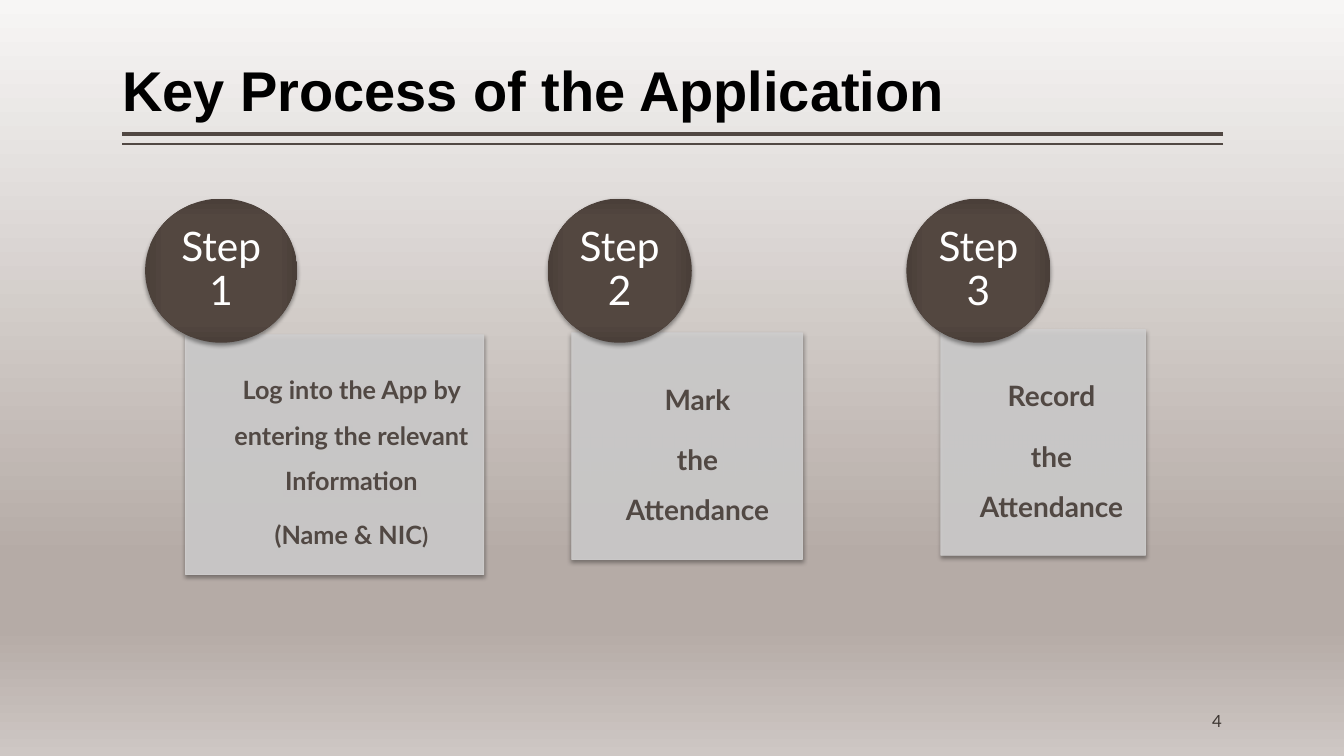
"""Build the slide that shows the three key steps of an attendance application."""
from dataclasses import dataclass

from lxml import etree
from pptx import Presentation
from pptx.dml.color import RGBColor
from pptx.enum.shapes import MSO_CONNECTOR, MSO_SHAPE
from pptx.enum.text import MSO_ANCHOR, MSO_AUTO_SIZE, PP_ALIGN
from pptx.oxml import parse_xml
from pptx.oxml.ns import nsdecls, qn
from pptx.util import Inches, Pt

STRAIGHT = MSO_CONNECTOR.STRAIGHT
RECTANGLE, OVAL = MSO_SHAPE.RECTANGLE, MSO_SHAPE.OVAL
MIDDLE, BOTTOM = MSO_ANCHOR.MIDDLE, MSO_ANCHOR.BOTTOM
LEFT, CENTER, RIGHT = PP_ALIGN.LEFT, PP_ALIGN.CENTER, PP_ALIGN.RIGHT
NO_AUTOFIT = MSO_AUTO_SIZE.NONE

SLIDE_WIDTH, SLIDE_HEIGHT = Inches(13.33), Inches(7.5)
MARGIN, CONTENT_WIDTH = 9.08, 81.92
BADGE_TOP, BADGE_HEIGHT = 26.27, 19.07
CARD_TEXT_INDENT = 0.16
PARAGRAPH_GAP = 0.35


@dataclass(frozen=True)
class Theme:
    """Colours, fonts and type sizes of the slide."""
    ink: str = "514843"
    title_ink: str = "000000"
    badge_ink: str = "FFFFFF"
    number_ink: str = "3D3632"
    card: str = "D0CFCF"
    backdrop: tuple = ((0, "F7F6F5"), (74, "B5ABA6"), (83, "B5ABA6"), (100, "CEC7C4"))
    badge: tuple = ((0, "544740"), (71, "534740"), (100, "4A3F39"))
    title_font: str = "Arial"
    body_font: str = "Lato"
    title_size: int = 40
    badge_size: int = 29
    closing_size: int = 16
    number_size: int = 12


@dataclass(frozen=True)
class Step:
    """One step, with its places in percent of the slide's size."""
    label: str
    lines: tuple
    size: int
    padding: float
    card: tuple
    badge_left: float
    badge_width: float
    closing: str = ""


THEME = Theme()
STEPS = (
    Step("Step 1", ("Log into the App by entering the relevant Information", "(Name & NIC"),
         18, 0.14, (13.8, 44.27, 22.2, 31.73), 10.8, 11.33, ")"),
    Step("Step 2", ("Mark", "the Attendance"),
         20, 0.16, (42.53, 44, 17.18, 30), 40.74, 10.73),
    Step("Step 3", ("Record", "the Attendance"),
         20, 0.16, (70, 43.6, 15.23, 29.87), 67.44, 10.73),
)


def across(percent: float) -> int:
    """Turn a percentage of the slide's width into a length."""
    return round(SLIDE_WIDTH * percent / 100)


def down(percent: float) -> int:
    """Turn a percentage of the slide's height into a length."""
    return round(SLIDE_HEIGHT * percent / 100)


def place(left: float, top: float, width: float, height: float) -> tuple:
    """Turn four percentages into a left, top, width and height."""
    return across(left), down(top), across(width), down(height)


def style_font(font, name: str, size: float, color: str, bold: bool = False) -> None:
    """Set the face, size, colour and weight of a font."""
    font.name, font.size, font.bold = name, Pt(size), bold
    font.color.rgb = RGBColor.from_string(color)


def style_frame(frame, anchor, left: float, top: float, right: float, bottom: float) -> None:
    """Set wrapping, anchor and insets in inches of a text frame."""
    frame.word_wrap, frame.auto_size, frame.vertical_anchor = True, NO_AUTOFIT, anchor
    frame.margin_left, frame.margin_top = Inches(left), Inches(top)
    frame.margin_right, frame.margin_bottom = Inches(right), Inches(bottom)


def fill_gradient(properties, stops: tuple, direction: str) -> None:
    """Replace the solid fill of an element by a gradient."""
    stop_list = "".join(
        f'<a:gs pos="{position * 1000}"><a:srgbClr val="{color}"/></a:gs>'
        for position, color in stops)
    gradient = parse_xml(
        f'<a:gradFill rotWithShape="1" {nsdecls("a")}>'
        f"<a:gsLst>{stop_list}</a:gsLst>{direction}</a:gradFill>")
    properties.replace(properties.find(qn("a:solidFill")), gradient)


def add_solid(slide, preset, bounds: tuple, color: str):
    """Add a preset shape with a solid fill and a soft drop shadow."""
    solid = slide.shapes.add_shape(preset, *bounds)
    solid.fill.solid()
    solid.fill.fore_color.rgb = RGBColor.from_string(color)
    solid.shadow.inherit = False
    solid.element.spPr.find(qn("a:effectLst")).append(parse_xml(
        f'<a:outerShdw blurRad="{Pt(3.1)}" dist="{Pt(2)}" dir="5400000" rotWithShape="0" '
        f'{nsdecls("a")}><a:srgbClr val="000000"><a:alpha val="38000"/></a:srgbClr>'
        "</a:outerShdw>"))
    return solid


def add_card(slide, step: Step) -> None:
    """Add the card that describes a step."""
    bounds = place(*step.card)
    card = add_solid(slide, RECTANGLE, bounds, THEME.card)
    card.line.color.rgb = RGBColor.from_string(THEME.card)
    card.line.width = Pt(0.5)
    for color in card.element.spPr.xpath("./a:solidFill/a:srgbClr | ./a:ln/a:solidFill/a:srgbClr"):
        etree.SubElement(color, qn("a:alpha")).set("val", "90000")
    frame = card.text_frame
    style_frame(frame, MIDDLE, 0, step.padding, step.padding, step.padding)
    frame.margin_left = round(bounds[2] * CARD_TEXT_INDENT)
    frame.text = "\n".join(step.lines)
    if step.closing:
        frame.paragraphs[-1].add_run().text = step.closing
    for paragraph in frame.paragraphs:
        paragraph.alignment, paragraph.line_spacing = CENTER, 1.5
        paragraph.space_after = Pt(step.size * PARAGRAPH_GAP)
        for run in paragraph.runs:
            size = THEME.closing_size if run.text == step.closing else step.size
            style_font(run.font, THEME.body_font, size, THEME.ink, True)


def add_badge(slide, step: Step) -> None:
    """Add the round badge that numbers a step."""
    bounds = place(step.badge_left, BADGE_TOP, step.badge_width, BADGE_HEIGHT)
    badge = add_solid(slide, OVAL, bounds, THEME.badge[0][1])
    badge.line.fill.background()
    fill_gradient(
        badge.element.spPr, THEME.badge,
        '<a:path path="rect"><a:fillToRect l="50000" t="50000" r="50000" b="50000"/></a:path>')
    style_frame(badge.text_frame, MIDDLE, 0.01, 0, 0.01, 0)
    badge.text_frame.text = step.label
    label = badge.text_frame.paragraphs[0]
    label.alignment, label.line_spacing = CENTER, 0.9
    label.space_after = Pt(THEME.badge_size * PARAGRAPH_GAP)
    style_font(label.runs[0].font, THEME.body_font, THEME.badge_size, THEME.badge_ink)


def add_rule(slide, top: float, weight: float) -> None:
    """Add a horizontal rule under the title."""
    rule = slide.shapes.add_connector(
        STRAIGHT, across(MARGIN + CONTENT_WIDTH), down(top), across(MARGIN), down(top))
    rule.line.color.rgb = RGBColor.from_string(THEME.ink)
    rule.line.width = Pt(weight)
    etree.SubElement(rule.element.spPr, qn("a:effectLst"))


def add_title(slide) -> None:
    """Fill and place the title placeholder."""
    title = slide.shapes.title
    title.left, title.top, title.width, title.height = place(MARGIN, 1.07, CONTENT_WIDTH, 16)
    style_frame(title.text_frame, BOTTOM, 0, 0.05, 0, 0.05)
    title.text_frame.text = "Key Process of the Application"
    heading = title.text_frame.paragraphs[0]
    heading.alignment, heading.line_spacing = LEFT, 0.9
    style_font(heading.runs[0].font, THEME.title_font, THEME.title_size, THEME.title_ink, True)


def add_page_number(slide) -> None:
    """Add the page number at the lower right."""
    frame = slide.shapes.add_textbox(*place(75.92, 92.67, 15, 5.33)).text_frame
    style_frame(frame, MIDDLE, 0, 0.05, 0, 0.05)
    frame.text = "4"
    number = frame.paragraphs[0]
    number.alignment = RIGHT
    style_font(number.runs[0].font, THEME.body_font, THEME.number_size, THEME.number_ink)


def main() -> None:
    """Build and save the presentation."""
    deck = Presentation()
    deck.slide_width, deck.slide_height = SLIDE_WIDTH, SLIDE_HEIGHT
    slide = deck.slides.add_slide(deck.slide_layouts[5])
    slide.background.fill.solid()
    fill_gradient(slide.element.xpath("./p:cSld/p:bg/p:bgPr")[0], THEME.backdrop,
                  '<a:lin ang="5400000" scaled="0"/>')
    for top, weight in ((17.73, 3), (19.07, 1)):
        add_rule(slide, top, weight)
    add_title(slide)
    for step in STEPS:
        add_card(slide, step)
        add_badge(slide, step)
    add_page_number(slide)
    deck.save("out.pptx")


if __name__ == "__main__":
    main()
